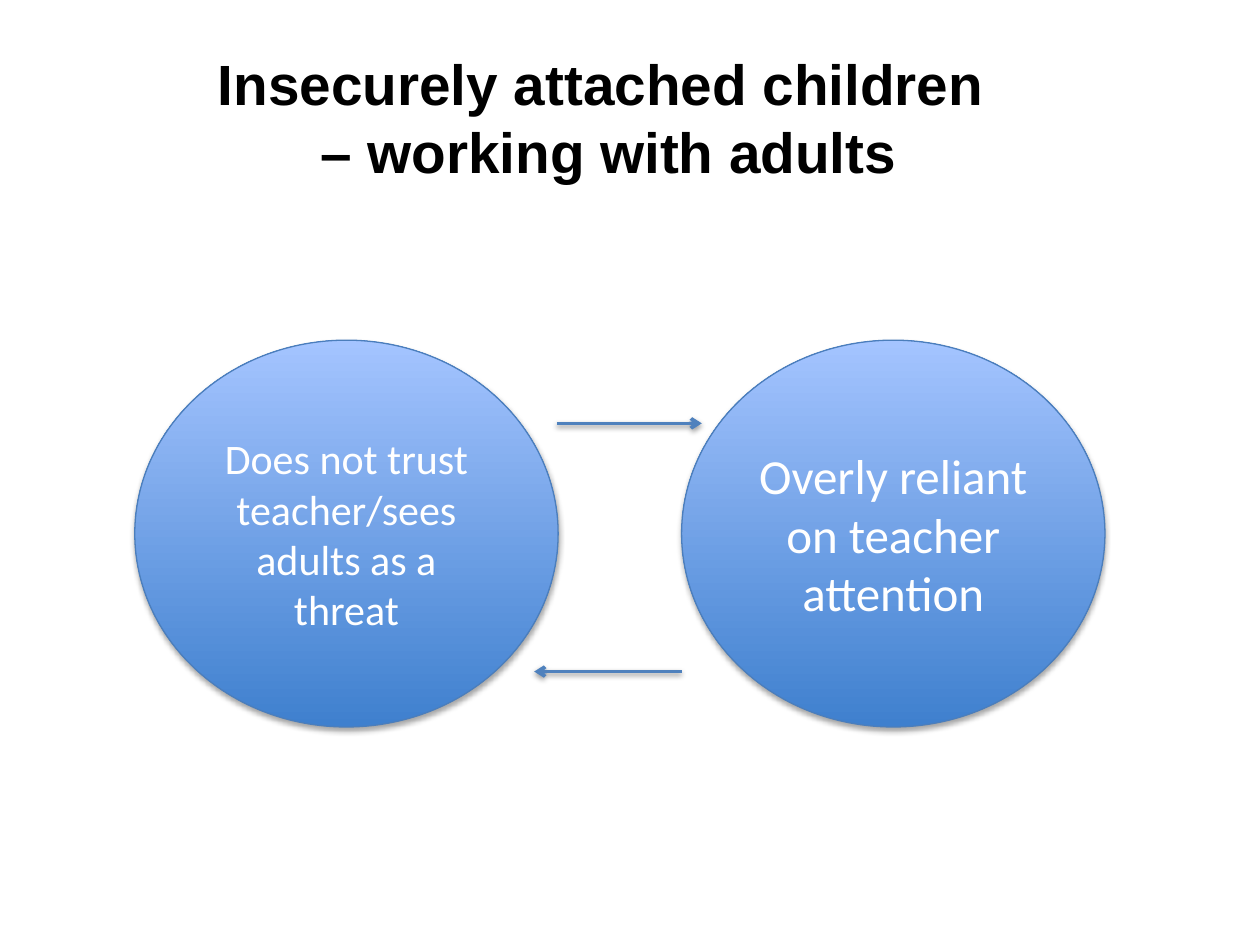
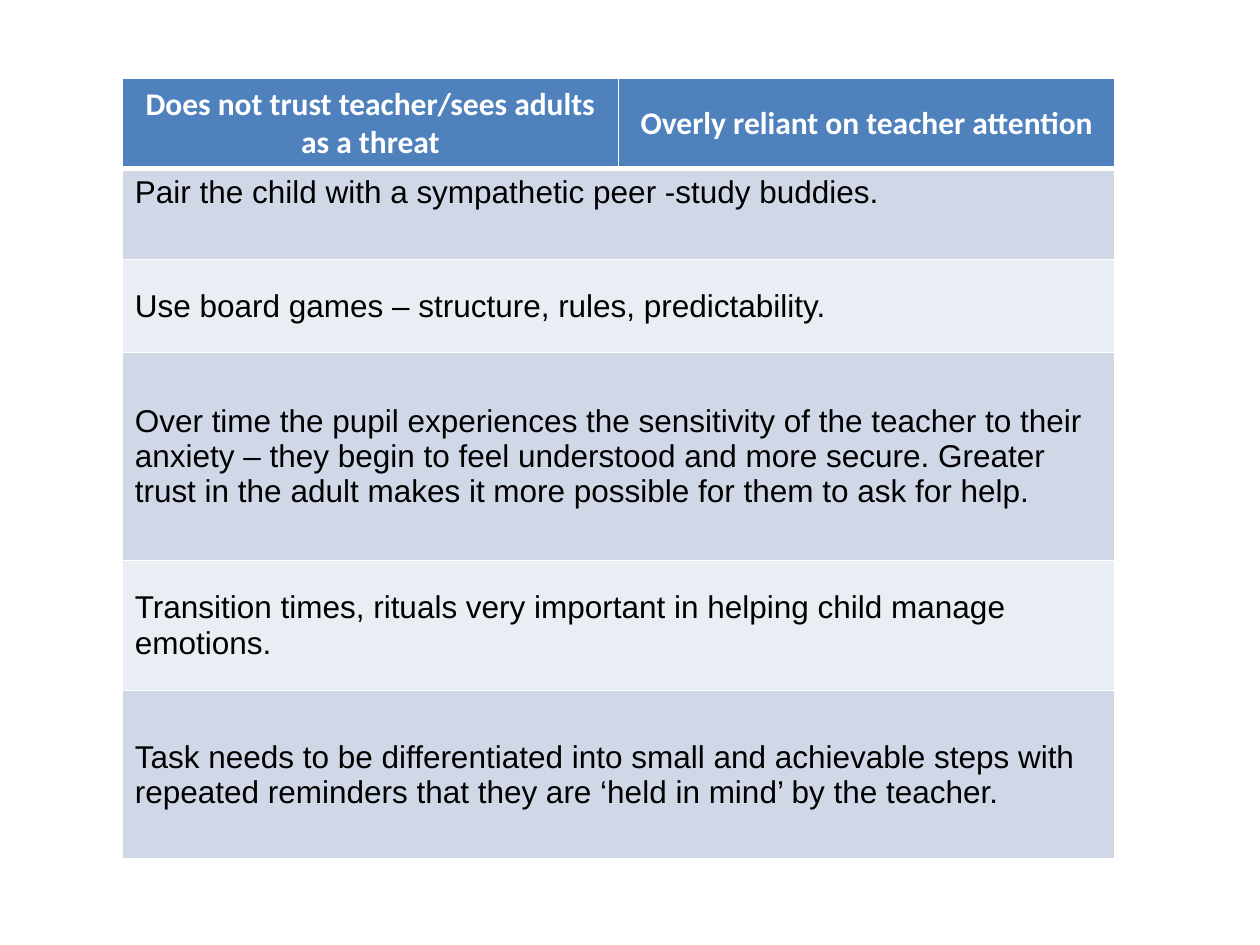
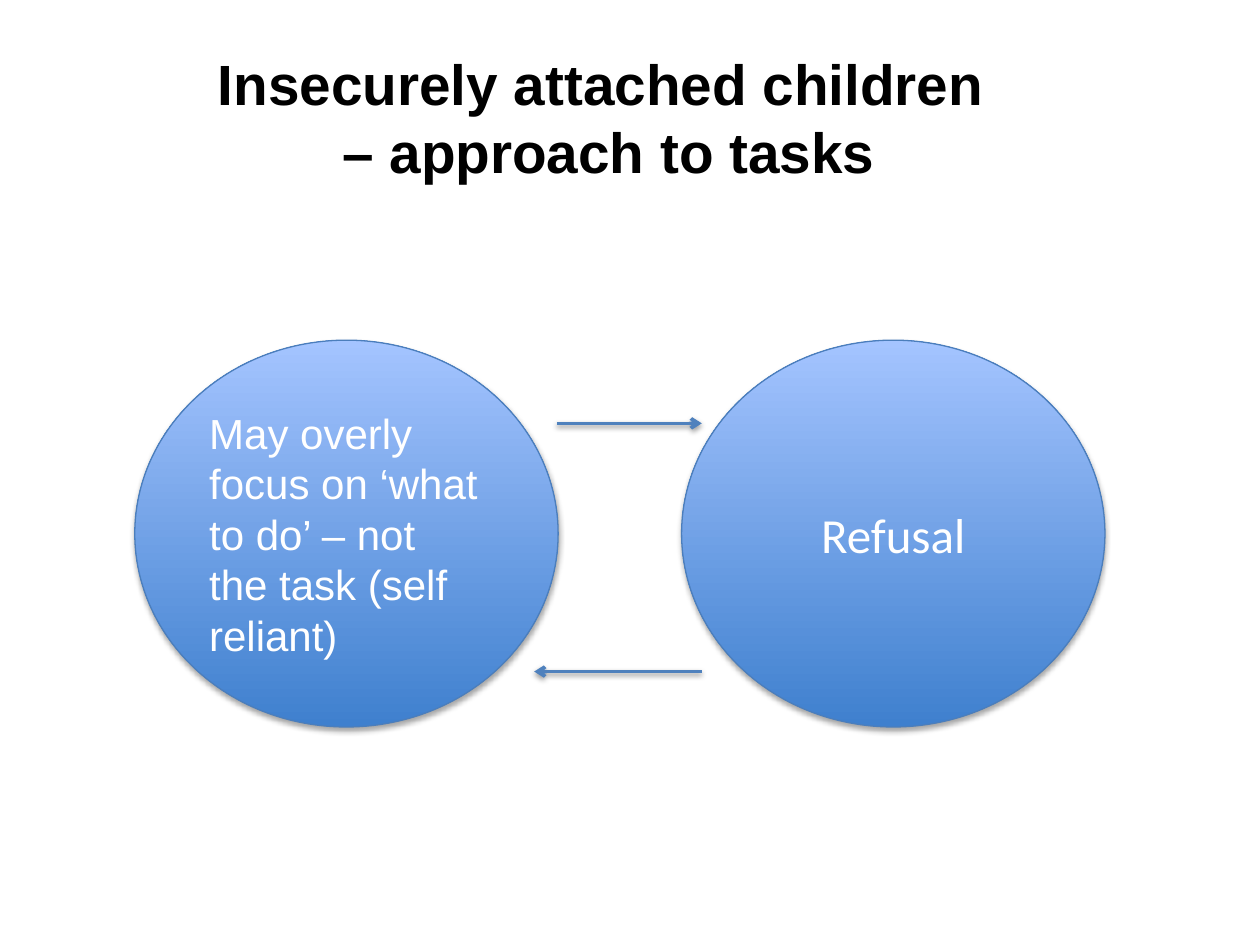
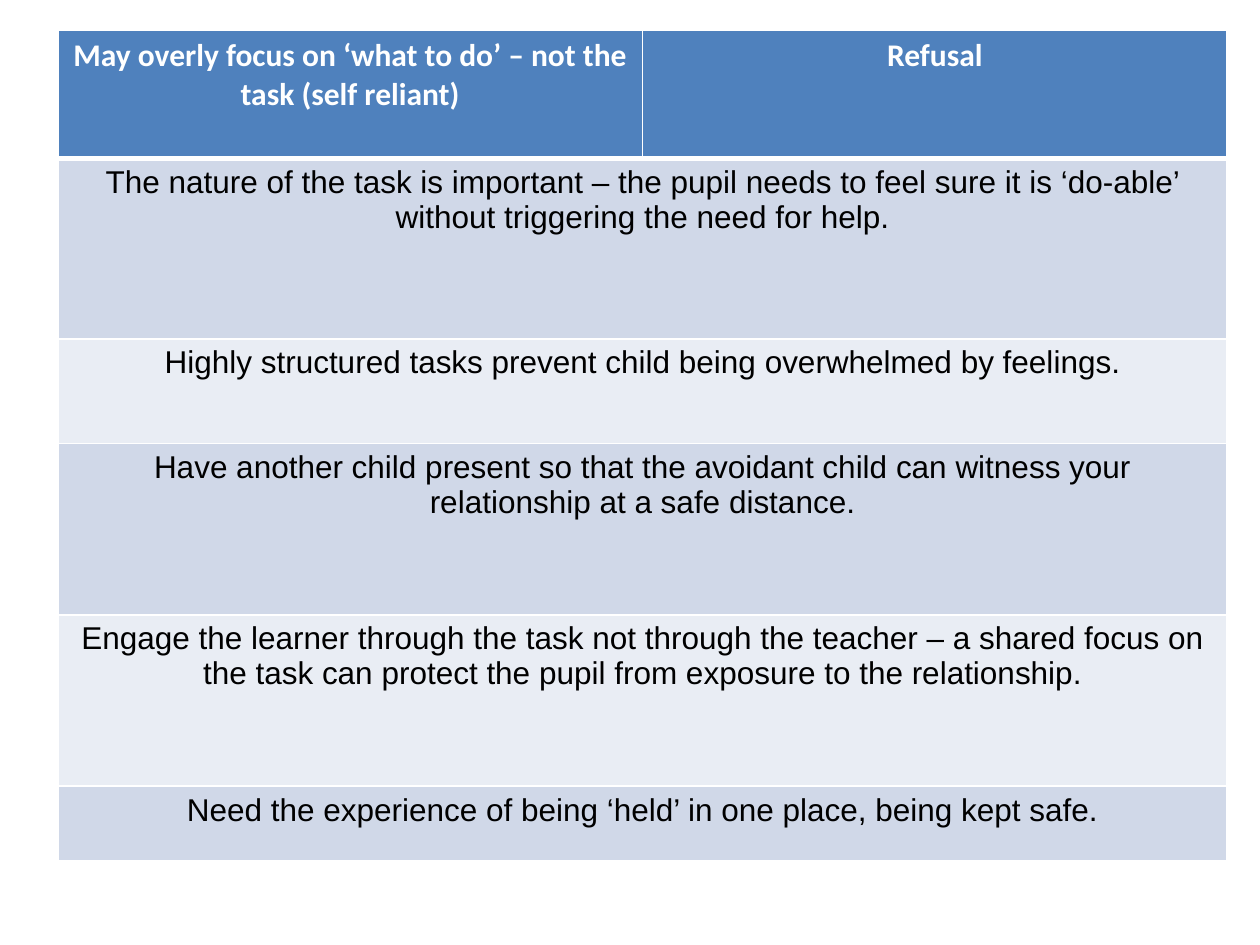
from dataclasses import dataclass

import pptx
import pptx.dml.color
import pptx.enum.shapes
import pptx.enum.text
import pptx.oxml
import pptx.oxml.ns
import pptx.util
from lxml import etree
from pptx.util import Inches

ALIGN = pptx.enum.text.PP_ALIGN
ANCHOR = pptx.enum.text.MSO_ANCHOR
qn = pptx.oxml.ns.qn


@dataclass(frozen=True)
class Theme:
    heading_font: str = "Arial"
    body_font: str = "Calibri"
    title_size: float = 32.4
    long_size: int = 24
    short_size: int = 28
    table_size: int = 18
    ink: str = "000000"
    paper: str = "FFFFFF"
    accent: str = "4F81BD"
    outline: str = "4B7EBC"
    bubble_bottom: str = "3F80CE"
    bubble_top: str = "A4C4FF"
    bands: tuple = ("D0D8E8", "E9EDF4")


def rgb(color):
    return pptx.dml.color.RGBColor.from_string(color)


def write(frame, text, *, size, font, color, bold=False, align=ALIGN.LEFT):
    frame.word_wrap = True
    paragraph = frame.paragraphs[0]
    paragraph.text = text
    paragraph.alignment = align
    for run in paragraph.runs:
        run.font.size = pptx.util.Pt(size)
        run.font.name = font
        run.font.bold = bold
        run.font.color.rgb = rgb(color)


def add_colour(parent, color):
    return etree.SubElement(parent, qn("a:srgbClr"), val=color)


class Deck:
    def __init__(self, theme):
        self.theme = theme
        self.presentation = pptx.Presentation()
        self.presentation.slide_width = Inches(10)
        self.presentation.slide_height = Inches(7.5)
        self.slide = None

    def new_slide(self):
        self.slide = self.presentation.slides.add_slide(self.presentation.slide_layouts[6])

    def title(self, text):
        box = self.slide.shapes.add_textbox(Inches(0), Inches(0.3), Inches(9.66), Inches(1.25))
        box.text_frame.vertical_anchor = ANCHOR.MIDDLE
        write(box.text_frame, text, size=self.theme.title_size, font=self.theme.heading_font,
              color=self.theme.ink, bold=True, align=ALIGN.CENTER)

    def shadow(self, properties, distance, opacity):
        effects = properties.find(qn("a:effectLst"))
        if effects is None:
            effects = etree.SubElement(properties, qn("a:effectLst"))
        outer = etree.SubElement(effects, qn("a:outerShdw"), blurRad=str(pptx.util.Pt(3.1)),
                                 dist=str(pptx.util.Pt(distance)), dir="5400000", rotWithShape="0")
        etree.SubElement(add_colour(outer, self.theme.ink), qn("a:alpha"), val=str(opacity * 1000))

    def bubble(self, left, text, **style):
        bubble = self.slide.shapes.add_shape(
            pptx.enum.shapes.MSO_SHAPE.OVAL, Inches(left), Inches(2.7), Inches(3.36), Inches(3.07))
        bubble.fill.gradient()
        bubble.fill.gradient_angle = 90
        for stop, color in zip(bubble.fill.gradient_stops,
                               (self.theme.bubble_bottom, self.theme.bubble_top)):
            stop.color.rgb = rgb(color)
        bubble.line.color.rgb = rgb(self.theme.outline)
        bubble.line.width = pptx.util.Pt(0.75)
        bubble.shadow.inherit = False
        self.shadow(bubble._element.spPr, 1.8, 35)
        bubble.text_frame.vertical_anchor = ANCHOR.MIDDLE
        write(bubble.text_frame, text, color=self.theme.paper, **style)

    def arrow(self, start, end, y):
        arrow = self.slide.shapes.add_connector(
            pptx.enum.shapes.MSO_CONNECTOR.STRAIGHT, Inches(start), Inches(y), Inches(end), Inches(y))
        arrow.line.color.rgb = rgb(self.theme.accent)
        arrow.line.width = pptx.util.Pt(2)
        etree.SubElement(arrow.line._get_or_add_ln(), qn("a:tailEnd"), type="arrow")
        self.shadow(arrow._element.spPr, 1.6, 38)

    def cycle(self, title, first, second, return_start, first_font, first_align):
        self.new_slide()
        self.title(title)
        self.bubble(1.07, first, size=self.theme.long_size, font=first_font, align=first_align)
        self.bubble(5.41, second, size=self.theme.short_size, font=self.theme.body_font,
                    align=ALIGN.CENTER)
        self.arrow(4.42, 5.57, 3.36)
        self.arrow(return_start, 4.24, 5.33)

    def cell(self, cell, text, fill, top, bottom, anchor, **style):
        properties = cell._tc.get_or_add_tcPr()
        for side, width in (("L", 1), ("R", 1), ("T", top), ("B", bottom)):
            border = etree.SubElement(properties, qn(f"a:ln{side}"), w=str(pptx.util.Pt(width)))
            add_colour(etree.SubElement(border, qn("a:solidFill")), self.theme.paper)
        cell.fill.solid()
        cell.fill.fore_color.rgb = rgb(fill)
        cell.vertical_anchor = anchor
        if text:
            write(cell.text_frame, text, size=self.theme.table_size, **style)

    def strategies(self, left, top, column_width, headings, header_height, rows, anchor, align,
                   top_rows=()):
        self.new_slide()
        heights = [header_height] + [height for height, _ in rows]
        table = self.slide.shapes.add_table(
            len(heights), 2, Inches(left), Inches(top),
            Inches(2 * column_width), Inches(sum(heights))).table
        for column in table.columns:
            column.width = Inches(column_width)
        for row, height in zip(table.rows, heights):
            row.height = Inches(height)
        for column, heading in enumerate(headings):
            self.cell(table.cell(0, column), heading, self.theme.accent, 1, 3, anchor,
                      font=self.theme.body_font, color=self.theme.paper, bold=True,
                      align=ALIGN.CENTER)
        for index, (_, strategy) in enumerate(rows, start=1):
            table.cell(index, 0).merge(table.cell(index, 1))
            for column, text in enumerate((strategy, "")):
                self.cell(table.cell(index, column), text, self.theme.bands[(index - 1) % 2],
                          3 if index == 1 else 1, 1,
                          ANCHOR.TOP if index in top_rows else anchor,
                          font=self.theme.heading_font, color=self.theme.ink, align=align)


def main():
    theme = Theme()
    deck = Deck(theme)
    adults = ("Does not trust teacher/sees adults as a threat", "Overly reliant on teacher attention")
    tasks = ("May overly focus on ‘what to do’ – not the task (self reliant)", "Refusal")

    deck.cycle("Insecurely attached children \n– working with adults", *adults,
               return_start=5.41, first_font=theme.body_font, first_align=ALIGN.CENTER)
    deck.strategies(0.97, 0.62, 3.94, adults, 0.72, [
        (0.72, "Pair the child with a sympathetic peer -study buddies."),
        (0.74, "Use board games – structure, rules, predictability."),
        (1.65, "Over time the pupil experiences the sensitivity of the teacher to their anxiety – "
               "they begin to feel understood and more secure. Greater trust in the adult makes "
               "it more possible for them to ask for help."),
        (1.03, "Transition times, rituals very important in helping child manage emotions."),
        (1.34, "Task needs to be differentiated into small and achievable steps with repeated "
               "reminders that they are ‘held in mind’ by the teacher."),
    ], anchor=ANCHOR.MIDDLE, align=ALIGN.LEFT, top_rows=(1,))

    deck.cycle("Insecurely attached children \n– approach to tasks", *tasks,
               return_start=5.57, first_font=theme.heading_font, first_align=ALIGN.LEFT)
    deck.strategies(0.46, 0.24, 4.64, tasks, 1.02, [
        (1.43, "The nature of the task is important – the pupil needs to feel sure it is "
               "‘do-able’ without triggering the need for help."),
        (0.83, "Highly structured tasks prevent child being overwhelmed by feelings."),
        (1.36, "Have another child present so that the avoidant child can witness your "
               "relationship at a safe distance."),
        (1.36, "Engage the learner through the task not through the teacher – a shared focus on "
               "the task can protect the pupil from exposure to the relationship."),
        (0.59, "Need the experience of being ‘held’ in one place, being kept safe."),
    ], anchor=ANCHOR.TOP, align=ALIGN.CENTER)

    deck.presentation.save("out.pptx")


if __name__ == "__main__":
    main()
